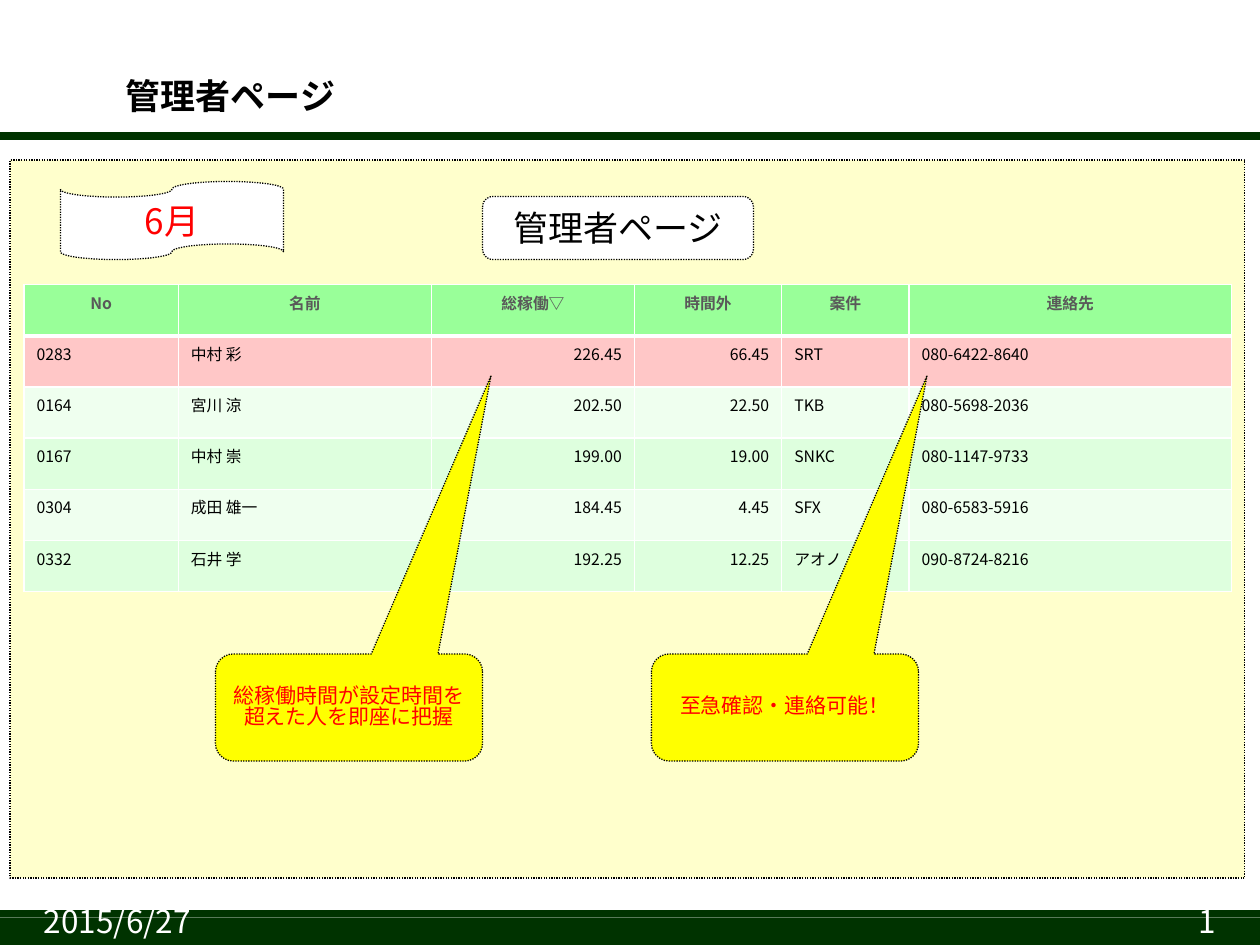
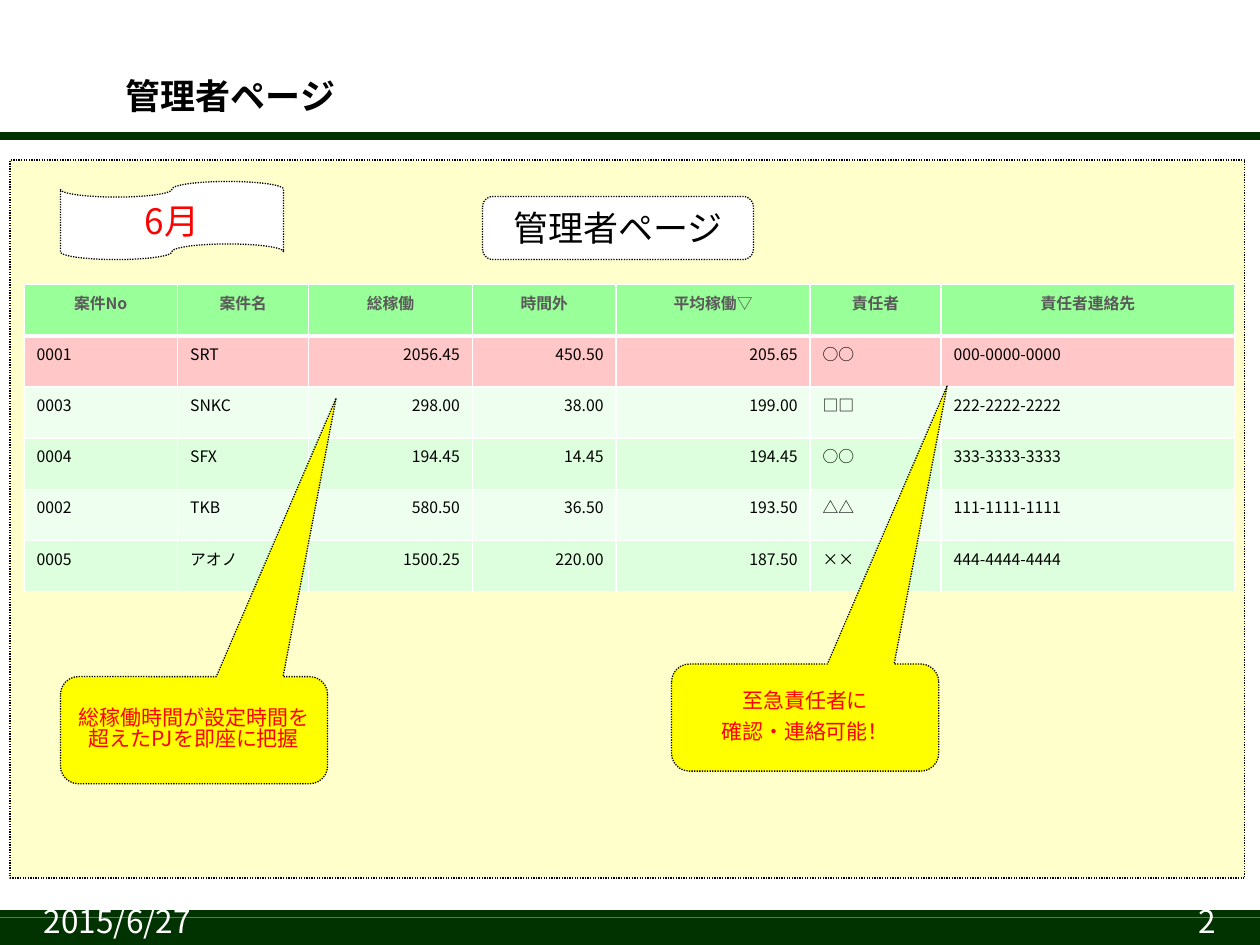
"""Build two administrator pages with monthly working-hour tables."""
import pptx
import pptx.dml.color
import pptx.enum.dml
import pptx.enum.shapes
import pptx.enum.text
import pptx.oxml
import pptx.oxml.ns
import pptx.util

COLORS = {
    "band": "003300",
    "panel": "FFFFCC",
    "white": "FFFFFF",
    "black": "000000",
    "red": "FF0000",
    "callout": "FFFF00",
    "header": "99FF99",
    "header_text": "595959",
    "alert": "FFC7C7",
    "light_row": "EFFFEF",
    "dark_row": "DEFFDE",
    "text_shadow": "C0C0C0",
}
FONT = "Noto Sans CJK JP"
DATE = "2015/6/27"
TITLE = "管理者ページ"
MONTH = "6月"
GRID_COLUMNS, GRID_ROWS = 100, 75
TABLE_LEFT, TABLE_TOP, TABLE_ROW = 1.9, 22.6, 4.06
CALLOUT_SIZE = (21.2, 8.5)
CALLOUT_ADJUSTMENTS = (0.532, -3.101, 0.167)
NAMESPACE = pptx.oxml.ns.nsdecls("a")
ALIGN = pptx.enum.text.PP_ALIGN
ANCHOR = pptx.enum.text.MSO_ANCHOR
SHAPE = pptx.enum.shapes.MSO_SHAPE

PAGES = [
    {
        "widths": (12.25, 20.1, 16.1, 11.7, 10.1, 25.6),
        "rows": [
            ("No", "名前", "総稼働▽", "時間外", "案件", "連絡先"),
            ("0283", "中村 彩", "226.45", "66.45", "SRT", "080-6422-8640"),
            ("0164", "宮川 涼", "202.50", "22.50", "TKB", "080-5698-2036"),
            ("0167", "中村 崇", "199.00", "19.00", "SNKC", "080-1147-9733"),
            ("0304", "成田 雄一", "184.45", "4.45", "SFX", "080-6583-5916"),
            ("0332", "石井 学", "192.25", "12.25", "アオノ", "090-8724-8216"),
        ],
        "callouts": [
            (17.1, 51.9, "総稼働時間が設定時間を超えた人を即座に把握"),
            (51.7, 51.9, "至急確認・連絡可能！"),
        ],
    },
    {
        "widths": (12.2, 10.4, 13, 11.4, 15.4, 10.4, 23.3),
        "rows": [
            ("案件No", "案件名", "総稼働", "時間外", "平均稼働▽", "責任者", "責任者連絡先"),
            ("0001", "SRT", "2056.45", "450.50", "205.65", "○○", "000-0000-0000"),
            ("0003", "SNKC", "298.00", "38.00", "199.00", "□□", "222-2222-2222"),
            ("0004", "SFX", "194.45", "14.45", "194.45", "○○", "333-3333-3333"),
            ("0002", "TKB", "580.50", "36.50", "193.50", "△△", "111-1111-1111"),
            ("0005", "アオノ", "1500.25", "220.00", "187.50", "××", "444-4444-4444"),
        ],
        "callouts": [
            (4.8, 53.7, "総稼働時間が設定時間を超えたPJを即座に把握"),
            (53.3, 52.7, "至急責任者に\n確認・連絡可能！"),
        ],
    },
]


def rgb(name):
    """Return the named colour."""
    return pptx.dml.color.RGBColor.from_string(COLORS[name])


class PageBuilder:
    """Hold the presentation style and draw on the current slide."""

    def __init__(self, presentation):
        """Derive the grid unit from the slide size."""
        self.presentation = presentation
        self.column = presentation.slide_width / GRID_COLUMNS
        self.row = presentation.slide_height / GRID_ROWS
        self.slide = None

    def box(self, left, top, width, height):
        """Convert grid columns and rows into slide lengths."""
        lengths = (left * self.column, top * self.row, width * self.column, height * self.row)
        return [round(length) for length in lengths]

    def start_slide(self):
        """Add a blank slide and make it current."""
        self.slide = self.presentation.slides.add_slide(self.presentation.slide_layouts[6])

    def fill_text(self, text_frame, text, size, color="black", align=ALIGN.LEFT, bold=False):
        """Set the text and format every run."""
        text_frame.text = text
        for paragraph in text_frame.paragraphs:
            paragraph.alignment = align
            for run in paragraph.runs:
                run.font.size = pptx.util.Pt(size)
                run.font.bold = bold
                run.font.color.rgb = rgb(color)
                run.font.name = FONT
                east_asian = pptx.oxml.parse_xml(f'<a:ea {NAMESPACE} typeface="{FONT}"/>')
                run.font._element.find(pptx.oxml.ns.qn("a:latin")).addnext(east_asian)

    def text(self, bounds, text, size, anchor, **style):
        """Add a text box."""
        text_frame = self.slide.shapes.add_textbox(*self.box(*bounds)).text_frame
        text_frame.word_wrap = True
        text_frame.vertical_anchor = anchor
        self.fill_text(text_frame, text, size, **style)
        return text_frame

    def title(self, text):
        """Add the bold title with its soft text shadow."""
        text_frame = self.text((9, 5.1, 88.9, 5), text, 20, ANCHOR.MIDDLE, bold=True)
        shadow = pptx.oxml.parse_xml(
            f'<a:effectLst {NAMESPACE}><a:outerShdw dist="25400" dir="2700000">'
            f'<a:srgbClr val="{COLORS["text_shadow"]}"/></a:outerShdw></a:effectLst>')
        properties = text_frame.paragraphs[0].runs[0].font._element
        properties.find(pptx.oxml.ns.qn("a:solidFill")).addnext(shadow)

    def shape(self, kind, bounds, fill, dotted=True):
        """Add a filled preset shape, dotted outline optional."""
        shape = self.slide.shapes.add_shape(kind, *self.box(*bounds))
        shape.shadow.inherit = False
        shape.fill.solid()
        shape.fill.fore_color.rgb = rgb(fill)
        if dotted:
            shape.line.color.rgb = rgb("black")
            shape.line.width = pptx.util.Pt(0.75)
            shape.line.dash_style = pptx.enum.dml.MSO_LINE.ROUND_DOT
        else:
            shape.line.fill.background()
        return shape

    def label(self, kind, bounds, text, size=20, color="black", fill="white"):
        """Add a dotted shape with centred text."""
        shape = self.shape(kind, bounds, fill)
        text_frame = shape.text_frame
        text_frame.word_wrap = True
        text_frame.vertical_anchor = ANCHOR.MIDDLE
        self.fill_text(text_frame, text, size, color, ALIGN.CENTER)
        for paragraph in text_frame.paragraphs:
            paragraph.space_before = pptx.util.Pt(size / 2)
        return shape

    def callout(self, left, top, text):
        """Add a yellow callout pointing up into the table."""
        bounds = (left, top, *CALLOUT_SIZE)
        shape = self.label(SHAPE.ROUNDED_RECTANGULAR_CALLOUT, bounds, text, 12, "red", "callout")
        for index, value in enumerate(CALLOUT_ADJUSTMENTS):
            shape.adjustments[index] = value
        text_frame = shape.text_frame
        text_frame.margin_left = text_frame.margin_right = round(0.8 * self.column)
        for paragraph in text_frame.paragraphs:
            paragraph.line_spacing = 0.82

    def rule(self, top):
        """Add a thick horizontal line across the slide."""
        left, height, right, _ = self.box(0, top, GRID_COLUMNS, 0)
        line = self.slide.shapes.add_connector(
            pptx.enum.shapes.MSO_CONNECTOR.STRAIGHT, left, height, right, height)
        line.line.color.rgb = rgb("band")
        line.line.width = pptx.util.Pt(4.5)
        line._element.spPr.append(pptx.oxml.parse_xml(f"<a:effectLst {NAMESPACE}/>"))

    def frame(self, number):
        """Draw the band, rules, panel, title and footer."""
        self.shape(SHAPE.RECTANGLE, (0, 72.8, GRID_COLUMNS, 2.2), "band", dotted=False)
        self.rule(10.8)
        self.rule(72.5)
        self.shape(SHAPE.RECTANGLE, (0.8, 12.7, 98, 57), "panel")
        self.title(TITLE)
        for left, text, align in ((2.5, DATE, ALIGN.LEFT), (76.7, str(number), ALIGN.RIGHT)):
            self.text((left, 72.6, 20.8, 2.5), text, 18, ANCHOR.BOTTOM, color="white", align=align)

    def cell_borders(self, cell, row_index):
        """Draw white borders, thicker beneath the header."""
        properties = cell._tc.get_or_add_tcPr()
        thick_side = {0: "B", 1: "T"}.get(row_index)
        for position, side in enumerate("LRTB"):
            width = pptx.util.Pt(3 if side == thick_side else 1)
            border = pptx.oxml.parse_xml(
                f'<a:ln{side} {NAMESPACE} w="{width}"><a:solidFill>'
                f'<a:srgbClr val="{COLORS["white"]}"/></a:solidFill></a:ln{side}>')
            properties.insert(position, border)

    def table(self, widths, rows):
        """Add the table, highlighting its first data row."""
        bounds = self.box(TABLE_LEFT, TABLE_TOP, sum(widths), TABLE_ROW * len(rows))
        table = self.slide.shapes.add_table(len(rows), len(widths), *bounds).table
        for column, width in zip(table.columns, widths):
            column.width = round(width * self.column)
        for row_index, values in enumerate(rows):
            table.rows[row_index].height = round(TABLE_ROW * self.row)
            banding = "dark_row" if row_index % 2 else "light_row"
            fill = {0: "header", 1: "alert"}.get(row_index, banding)
            for column_index, value in enumerate(values):
                cell = table.cell(row_index, column_index)
                cell.fill.solid()
                cell.fill.fore_color.rgb = rgb(fill)
                if row_index == 0:
                    self.fill_text(cell.text_frame, value, 9, "header_text", ALIGN.CENTER, True)
                else:
                    align = ALIGN.RIGHT if "." in value else ALIGN.LEFT
                    self.fill_text(cell.text_frame, value, 9, align=align)
                self.cell_borders(cell, row_index)


def main():
    """Build and save both pages."""
    presentation = pptx.Presentation()
    presentation.slide_width = pptx.util.Inches(10)
    presentation.slide_height = pptx.util.Inches(7.5)
    builder = PageBuilder(presentation)
    for number, page in enumerate(PAGES, start=1):
        builder.start_slide()
        builder.frame(number)
        builder.table(page["widths"], page["rows"])
        builder.label(SHAPE.ROUNDED_RECTANGLE, (38.3, 15.6, 21.5, 5), TITLE)
        for callout in page["callouts"]:
            builder.callout(*callout)
        builder.label(SHAPE.FLOWCHART_PUNCHED_TAPE, (4.8, 14.4, 17.7, 6.2), MONTH, color="red")
    presentation.save("out.pptx")


if __name__ == "__main__":
    main()
